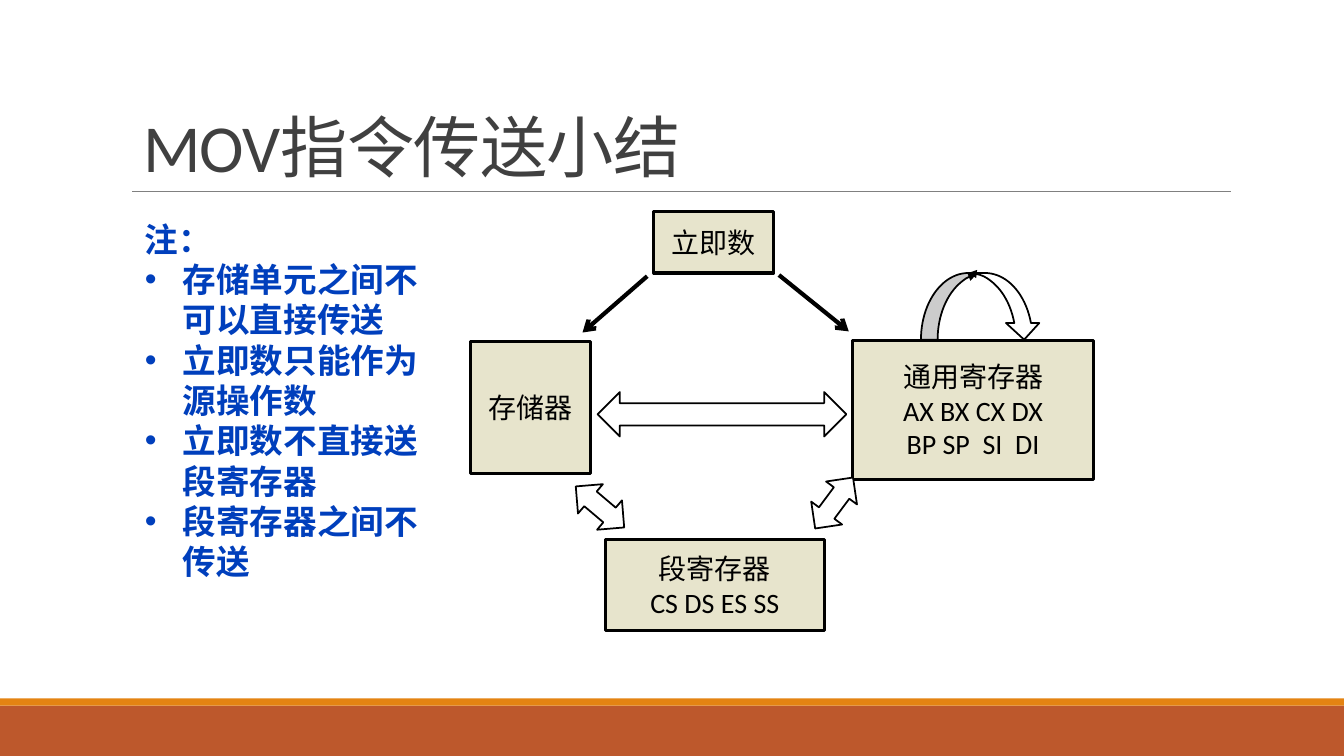
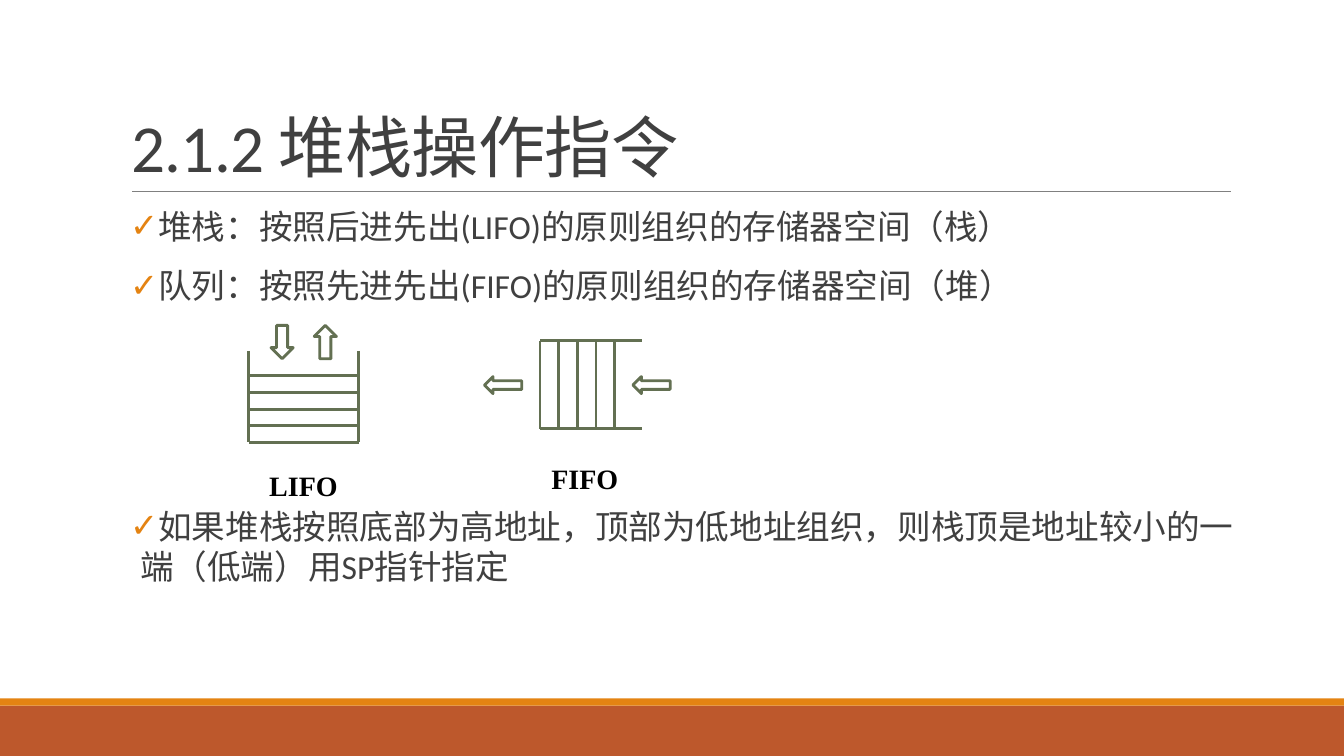
from dataclasses import dataclass

from lxml import etree
from pptx import Presentation
from pptx import util as u
from pptx.dml.color import RGBColor
from pptx.enum import shapes, text
from pptx.oxml import ns

RUST = RGBColor(0xBD, 0x58, 0x2C)
ORANGE = RGBColor(0xE4, 0x83, 0x12)
GREY = RGBColor(0x80, 0x80, 0x80)
INK = RGBColor(0x40, 0x40, 0x40)
BLACK = RGBColor(0, 0, 0)
WHITE = RGBColor(0xFF, 0xFF, 0xFF)
SAND = RGBColor(0xE7, 0xE4, 0xCC)
BLUE = RGBColor(0x00, 0x3F, 0xBC)
MOSS = RGBColor(0x63, 0x70, 0x52)

BODY_FONT = "Calibri"
LABEL_FONT = "Times New Roman"
PAGE_WIDTH, PAGE_HEIGHT = 33.87, 19.05
SHAPE = shapes.MSO_SHAPE


@dataclass
class Frame:
    left: float
    top: float
    width: float
    height: float

    def inner(self, dx, dy, width, height):
        return Frame(self.left + dx, self.top + dy, width, height)

    def lengths(self):
        return [u.Cm(v) for v in (self.left, self.top, self.width, self.height)]


def add_element(parent, tag, **attributes):
    return etree.SubElement(parent, ns.qn(tag), attributes)


def place(shape, frame):
    shape.left, shape.top, shape.width, shape.height = frame.lengths()


def style_runs(para, size, color, font=BODY_FONT, bold=False):
    for span in para.runs:
        span.font.name = font
        span.font.size = u.Pt(size)
        span.font.bold = bold
        span.font.color.rgb = color


def draw_shape(page, kind, frame, fill=None, line=None, weight=1.0, rotation=0):
    shape = page.shapes.add_shape(kind, *frame.lengths())
    shape.shadow.inherit = False
    shape.rotation = rotation
    if fill is None:
        shape.fill.background()
    else:
        shape.fill.solid()
        shape.fill.fore_color.rgb = fill
    if line is None:
        shape.line.fill.background()
    else:
        shape.line.color.rgb = line
        shape.line.width = u.Pt(weight)
    return shape


def draw_line(page, frame, start, end, color, weight):
    points = [u.Cm(v) for x, y in (start, end) for v in (frame.left + x, frame.top + y)]
    line = page.shapes.add_connector(shapes.MSO_CONNECTOR.STRAIGHT, *points)
    line.line.color.rgb = color
    line.line.width = u.Pt(weight)
    add_element(line.element.spPr, "a:effectLst")
    return line


def add_heads(shape, **heads):
    outline = shape.line._get_or_add_ln()
    for end, kind in heads.items():
        add_element(outline, f"a:{end}End", type=kind)


def set_bullet(para, mark, hanging, color=None):
    props = para._p.get_or_add_pPr()
    indent = u.Cm(hanging)
    props.set("marL", str(indent))
    props.set("indent", str(-indent))
    if color is not None:
        add_element(add_element(props, "a:buClr"), "a:srgbClr", val=str(color))
    if mark:
        add_element(props, "a:buChar", char=mark)
    else:
        add_element(props, "a:buNone")


def build_layout(deck, layout):
    page = deck.slides.add_slide(layout)
    frame = Frame(0, 0, PAGE_WIDTH, PAGE_HEIGHT)
    parts = [
        draw_shape(page, SHAPE.RECTANGLE, frame.inner(0, 17.78, PAGE_WIDTH, 1.27), RUST),
        draw_shape(page, SHAPE.RECTANGLE, frame.inner(0, 17.6, PAGE_WIDTH, 0.18), ORANGE),
        draw_line(page, frame, (3.33, 4.83), (31.01, 4.83), GREY, 0.5),
    ]
    for part in parts:
        layout.shapes.element.append(part.element)
    return page


def write_title(page, title, left):
    box = page.shapes.title
    place(box, Frame(left, 0.79, 27.94, 4.04))
    words = box.text_frame
    words.text = title
    words.auto_size = text.MSO_AUTO_SIZE.NONE
    words.vertical_anchor = text.MSO_ANCHOR.BOTTOM
    para = words.paragraphs[0]
    para.alignment = text.PP_ALIGN.LEFT
    para.line_spacing = 0.85
    style_runs(para, 48, INK)
    for span in para.runs:
        span._r.get_or_add_rPr().set("spc", "-50")


def fill_body(page, frame, lines):
    box = page.placeholders[1]
    place(box, frame)
    words = box.text_frame
    words.text = "\n".join(lines)
    words.auto_size = text.MSO_AUTO_SIZE.NONE
    for para in words.paragraphs:
        para.space_before = para.space_after = u.Pt(0)
    return words


def write_notes(page, frame, lines):
    words = fill_body(page, frame, lines)
    for index, para in enumerate(words.paragraphs):
        set_bullet(para, "•" if index else None, 0.95 if index else 0)
        style_runs(para, 24, BLUE, bold=True)


def write_points(page, frame, lines, gaps):
    words = fill_body(page, frame, lines)
    words.margin_left = words.margin_right = 0
    for para, gap in zip(words.paragraphs, gaps):
        para.space_before = u.Pt(gap)
        para.space_after = u.Pt(2)
        set_bullet(para, "✓", 0.25, ORANGE)
        style_runs(para, 24, INK)


def draw_transfer_diagram(page, frame):
    stores = [
        ("立即数", (4.62, 0, 3.02, 1.55)),
        ("存储器", (0, 3.28, 3.02, 3.33)),
        ("通用寄存器\nAX BX CX DX\nBP SP  SI  DI", (9.63, 3.25, 6.07, 3.51)),
        ("段寄存器\nCS DS ES SS", (3.4, 8.26, 5.51, 2.31)),
    ]
    for label, spot in stores:
        box = draw_shape(page, SHAPE.RECTANGLE, frame.inner(*spot), SAND, BLACK, 2.25)
        box.text_frame.text = label
        box.text_frame.vertical_anchor = text.MSO_ANCHOR.MIDDLE
        for para in box.text_frame.paragraphs:
            para.alignment = text.PP_ALIGN.CENTER
            style_runs(para, 20, BLACK)

    two_way = [
        ((3.2, 4.55, 6.27, 1.12), 0),
        ((2.46, 6.96, 1.6, 0.97), 40.3),
        ((8.36, 6.86, 1.6, 0.97), 126.6),
    ]
    for spot, rotation in two_way:
        draw_shape(page, SHAPE.LEFT_RIGHT_ARROW, frame.inner(*spot), WHITE, BLACK, 1.25, rotation)

    for start, end in (((4.45, 1.63), (2.82, 3.05)), ((7.77, 1.6), (9.53, 3.02))):
        add_heads(draw_line(page, frame, start, end, BLACK, 3), tail="arrow")

    loop = draw_shape(page, SHAPE.CURVED_DOWN_ARROW, frame.inner(11.35, 1.55, 3.02, 1.68),
                      WHITE, BLACK, 1.25)
    add_heads(loop, head="triangle", tail="triangle")


def draw_lines(page, frame, lines):
    for start, end in lines:
        draw_line(page, frame, start, end, MOSS, 2)


def draw_label(page, frame, label):
    box = page.shapes.add_textbox(*frame.lengths())
    words = box.text_frame
    words.text = label
    words.word_wrap = False
    words.vertical_anchor = text.MSO_ANCHOR.MIDDLE
    para = words.paragraphs[0]
    para.alignment = text.PP_ALIGN.CENTER
    style_runs(para, 20, BLACK, LABEL_FONT, True)


def draw_stack(page, frame):
    width, height = frame.width, frame.height
    sides = [((x, 0), (x, height)) for x in (0, width)]
    levels = [height - 0.42 * step for step in range(5)]
    draw_lines(page, frame, sides + [((0, y), (width, y)) for y in levels])
    for kind, dx in ((SHAPE.DOWN_ARROW, 0.56), (SHAPE.UP_ARROW, 1.65)):
        draw_shape(page, kind, frame.inner(dx, -0.64, 0.56, 0.84), line=MOSS, weight=2)
    draw_label(page, frame.inner(0.25, 2.82, 2.26, 1.12), "LIFO")


def draw_queue(page, frame):
    width, height = frame.width, frame.height
    sides = [((0, y), (width, y)) for y in (0, height)]
    slots = [0.47 * step for step in range(5)]
    draw_lines(page, frame, sides + [((x, 0), (x, height)) for x in slots])
    for dx in (-1.4, 2.34):
        draw_shape(page, SHAPE.LEFT_ARROW, frame.inner(dx, 0.9, 0.94, 0.43), line=MOSS, weight=2)
    draw_label(page, frame.inner(0, 2.9, 2.26, 1.12), "FIFO")


def build_summary(page):
    write_title(page, "MOV指令传送小结", 3.35)
    draw_transfer_diagram(page, Frame(11.86, 5.33, 15.7, 10.57))
    write_notes(page, Frame(3.4, 5.38, 8.05, 10.52), [
        "注：",
        "存储单元之间不可以直接传送",
        "立即数只能作为源操作数",
        "立即数不直接送段寄存器",
        "段寄存器之间不传送",
    ])


def build_stack_page(page):
    write_title(page, "2.1.2 堆栈操作指令", 3.05)
    write_points(page, Frame(3.28, 5.05, 27.94, 11.84), [
        "堆栈：按照后进先出(LIFO)的原则组织的存储器空间（栈）",
        "队列：按照先进先出(FIFO)的原则组织的存储器空间（堆）",
        "如果堆栈按照底部为高地址，顶部为低地址组织，则栈顶是地址较小的一端（低端）用SP指针指定",
    ], gaps=(0, 12, 141))
    draw_stack(page, Frame(6.27, 8.84, 2.77, 2.31))
    draw_queue(page, Frame(13.61, 8.59, 2.57, 2.21))


def main():
    deck = Presentation()
    deck.slide_width, deck.slide_height = u.Cm(PAGE_WIDTH), u.Cm(PAGE_HEIGHT)
    layout = deck.slide_layouts[1]
    build_summary(build_layout(deck, layout))
    build_stack_page(deck.slides.add_slide(layout))
    deck.save("out.pptx")


if __name__ == "__main__":
    main()
